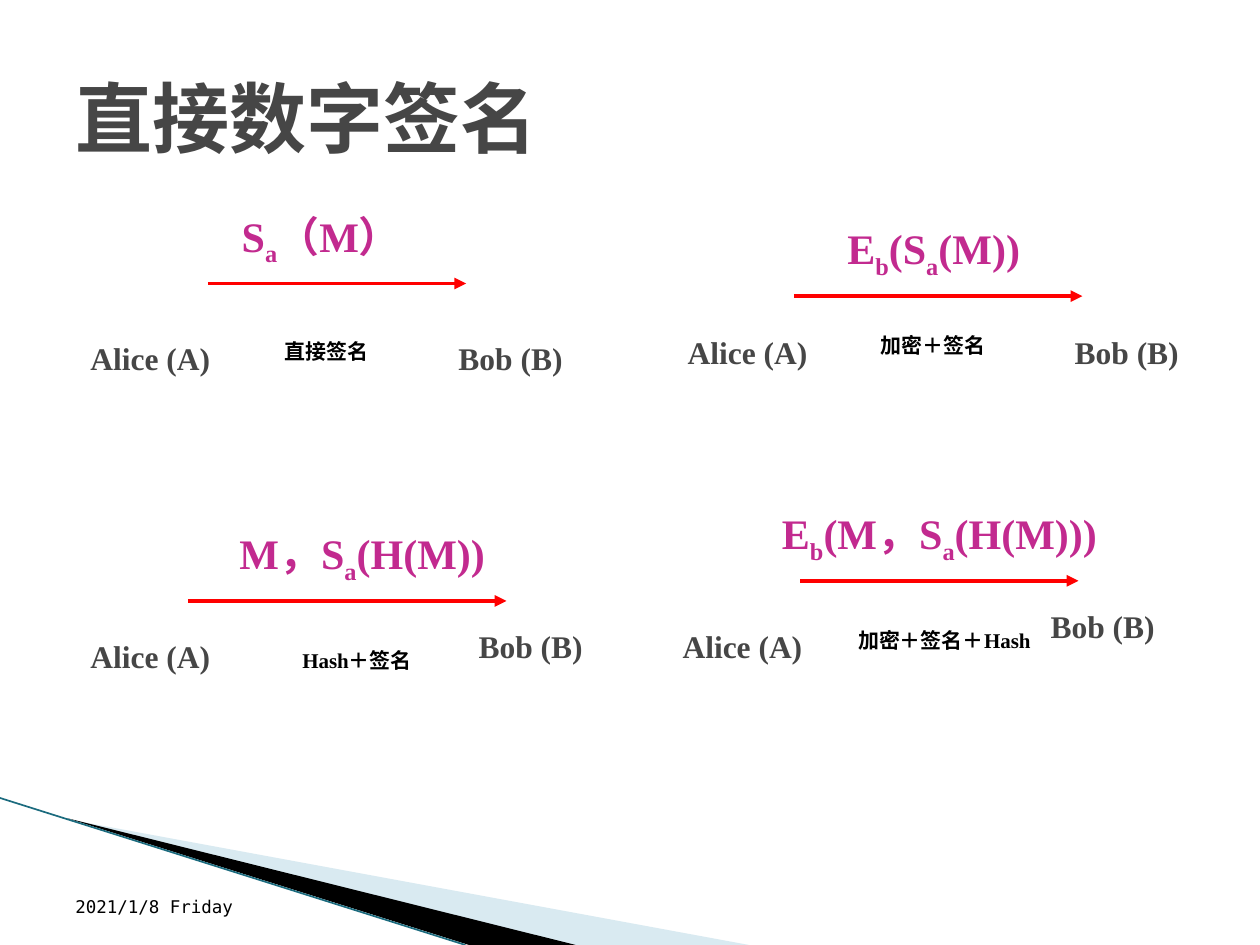
from lxml import etree
from pptx import Presentation
from pptx.dml.color import RGBColor
from pptx.enum import shapes, text
from pptx.oxml.ns import qn
from pptx.util import Pt

SERIF = "Times New Roman"
MAGENTA, GREY, BLACK, RED = "C22A8F", "464646", "000000", "FF0000"
TEAL, PALE_BLUE = "1B6B7E", "A0CBDC"

prs = Presentation()
prs.slide_width, prs.slide_height = Pt(720), Pt(540)
slide = prs.slides.add_slide(prs.slide_layouts[5])


def write(shape, words, size, color, font=SERIF, bold=True,
          align=text.PP_ALIGN.LEFT, anchor=text.MSO_ANCHOR.TOP):
    """Fill a shape with one line; the letter after each "_" is a subscript."""
    frame = shape.text_frame
    frame.word_wrap = True
    frame.auto_size = text.MSO_AUTO_SIZE.NONE
    frame.vertical_anchor = anchor
    line = frame.paragraphs[0]
    line.alignment = align
    first, *rest = words.split("_")
    pieces = [(first, False)]
    for part in rest:
        pieces += [(part[0], True), (part[1:], False)]
    for piece, lowered in pieces:
        run = line.add_run()
        run.text = piece
        run.font.name, run.font.size, run.font.bold = font, Pt(size), bold
        run.font.color.rgb = RGBColor.from_string(color)
        if lowered:
            run.font._element.set("baseline", "-25000")


def draw_line(x1, y1, x2, y2, color, width):
    line = slide.shapes.add_connector(
        shapes.MSO_CONNECTOR.STRAIGHT, Pt(x1), Pt(y1), Pt(x2), Pt(y2))
    line.line.color.rgb = RGBColor.from_string(color)
    line.line.width = Pt(width)
    etree.SubElement(line._element.spPr, qn("a:effectLst"))
    return line


# Corner wedges
wedges = [
    ([(39.6, 468.4), (428, 540), (328, 540)], PALE_BLUE, 40),
    ([(38.5, 467.6), (329, 540), (268, 540)], BLACK, 100),
]
for (start, *others), color, opacity in wedges:
    builder = slide.shapes.build_freeform(*map(Pt, start), scale=1.0)
    builder.add_line_segments([(Pt(x), Pt(y)) for x, y in others], close=True)
    wedge = builder.convert_to_shape()
    wedge.shadow.inherit = False
    wedge.line.fill.background()
    wedge.fill.solid()
    wedge.fill.fore_color.rgb = RGBColor.from_string(color)
    if opacity < 100:
        tint = wedge._element.spPr.find(".//" + qn("a:srgbClr"))
        etree.SubElement(tint, qn("a:alpha"), val=str(opacity * 1000))
draw_line(0, 456, 266, 540, TEAL, 0.95)

# Title and date
title = slide.shapes.title
title.left, title.top, title.width, title.height = Pt(36), Pt(21.6), Pt(648), Pt(90)
write(title, "直接数字签名", 44, GREY, anchor=text.MSO_ANCHOR.MIDDLE)
date = slide.shapes.add_textbox(Pt(36), Pt(491.8), Pt(168), Pt(36))
write(date, "2021/1/8 Friday", 10, BLACK, font="DejaVu Sans Mono", bold=False,
      anchor=text.MSO_ANCHOR.BOTTOM)

# Each scheme: formula and its (left, width), arrow (from, to, y),
# caption and its (left, top, width), then (left, top) of Alice and of Bob
schemes = [
    ("S_a（M）", (107.3, 152.6), (118.8, 266.4, 162),
     "直接签名", (130.3, 190, 113), (44.6, 190), (254.9, 190)),
    ("E_b(S_a(M))", (442.8, 181.4), (453.6, 618.5, 169.2),
     "加密＋签名", (476.6, 186.5, 113), (385.9, 186.5), (607, 186.5)),
    ("M，S_a(H(M))", (102.2, 209.5), (107.3, 289.4, 343.4),
     "Hash＋签名", (147.6, 366.5, 113), (44.6, 360.7), (266.4, 355)),
    ("E_b(M，S_a(H(M)))", (423.4, 226.8), (457.2, 616.3, 331.9),
     "加密＋签名＋Hash", (474.5, 355, 130.3), (383, 355), (593.3, 343.4)),
]
FORMULA_RISE = 45.4
for formula, (left, width), (start, end, y), caption, caption_at, alice, bob in schemes:
    arrow = draw_line(start, y, end, y, RED, 2.25)
    etree.SubElement(arrow.line._get_or_add_ln(), qn("a:tailEnd"), type="triangle")
    labels = [
        (formula, (left, y - FORMULA_RISE, width), 36, 24, MAGENTA, text.PP_ALIGN.CENTER),
        ("Alice (A)", (*alice, 90.7), 28.8, 18, GREY, text.PP_ALIGN.LEFT),
        ("Bob (B)", (*bob, 76), 28.8, 18, GREY, text.PP_ALIGN.LEFT),
        (caption, caption_at, 21.6, 12, BLACK, text.PP_ALIGN.CENTER),
    ]
    for words, (x, top, box_width), height, size, color, align in labels:
        box = slide.shapes.add_textbox(Pt(x), Pt(top), Pt(box_width), Pt(height))
        write(box, words, size, color, align=align)

prs.save("out.pptx")
